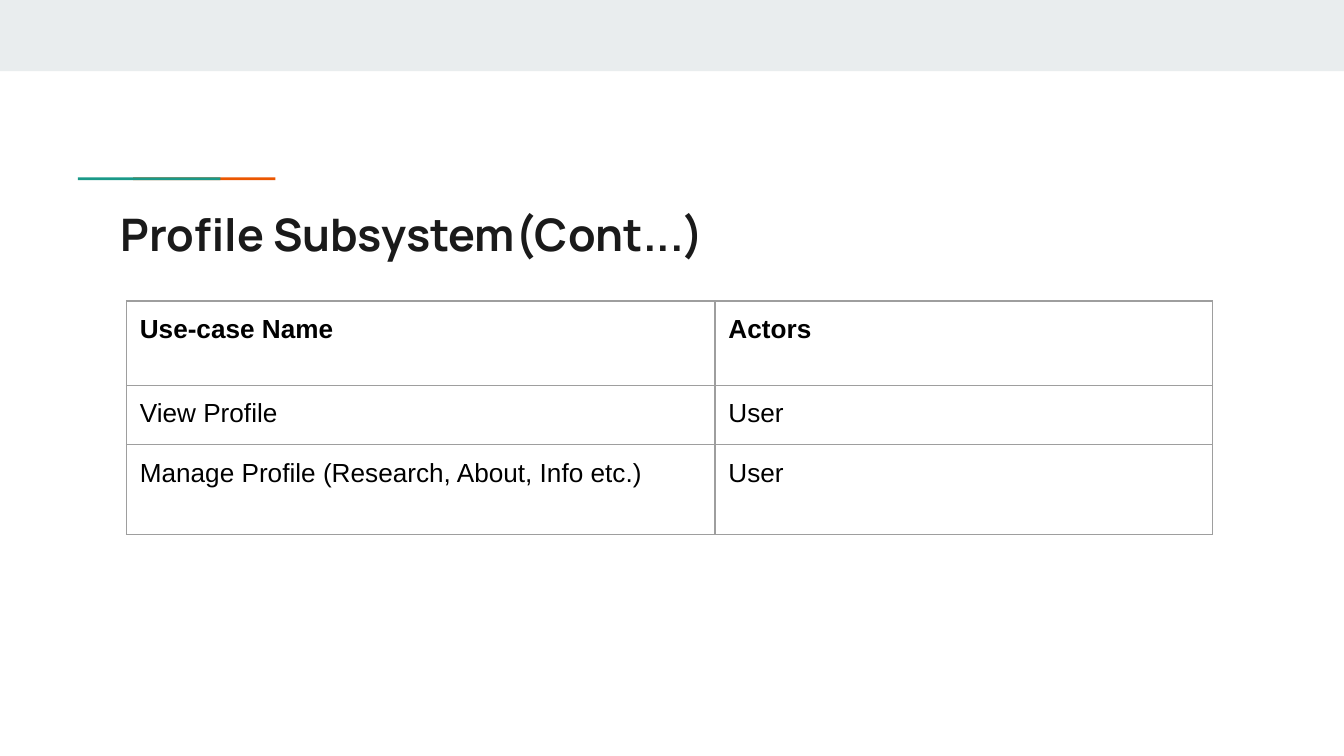
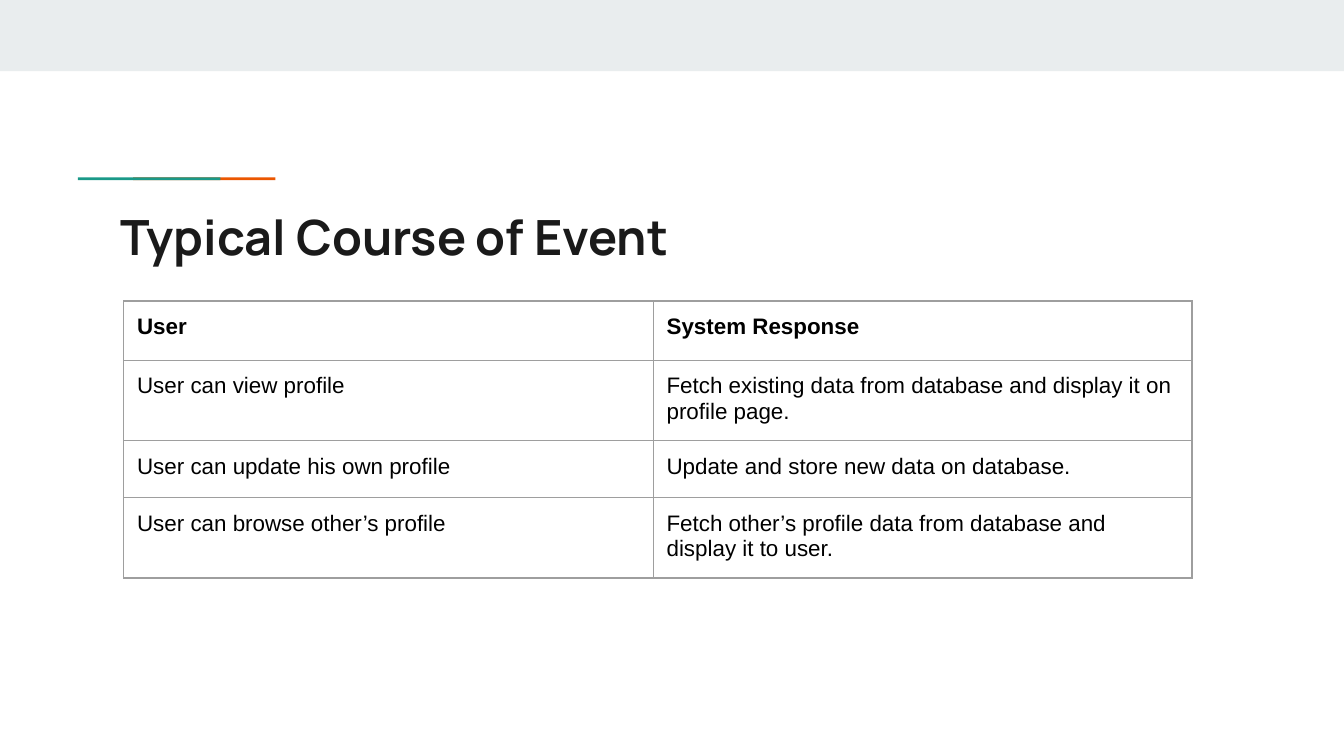
"""Build two slides, each with a title and a bordered two-column table."""
from dataclasses import dataclass

import lxml.etree
import pptx
import pptx.dml.color
import pptx.enum.shapes
import pptx.enum.text
import pptx.oxml.ns
import pptx.util

Inches = pptx.util.Inches
BAND, ORANGE, GREEN = "E9EDEE", "EB5600", "1A9988"
TITLE_INK, TABLE_INK, BORDER = "1A1A1A", "000000", "9E9E9E"
TITLE_FONT, TABLE_FONT = "Manrope", "Arial"
MARGINS = {f"margin_{side}": Inches(0.1) for side in ("left", "top", "right", "bottom")}


@dataclass(frozen=True)
class Bar:
    left: float
    top: float
    width: float
    height: float
    color: str


@dataclass(frozen=True)
class TableSlide:
    title: str
    title_size: int
    left: float
    text_size: int
    cols: tuple[float, ...]
    rows: tuple[float, ...]
    cells: tuple[tuple[str, ...], ...]


BARS = (
    Bar(0, 0, 10, 0.53, BAND),
    Bar(0.99, 1.32, 1.06, 0.02, ORANGE),
    Bar(0.58, 1.32, 1.06, 0.02, GREEN),
)
SLIDES = (
    TableSlide(
        "Profile Subsystem(Cont...)", 24, 0.94, 14, (4.38, 3.7), (0.63, 0.44, 0.67),
        (
            ("Use-case Name", "Actors"),
            ("View Profile", "User"),
            ("Manage Profile (Research, About, Info etc.)", "User"),
        ),
    ),
    TableSlide(
        "Typical Course of Event", 26, 0.92, 12, (3.94, 4.01), (0.44, 0.56, 0.42, 0.56),
        (
            ("User", "System Response"),
            ("User can view profile",
             "Fetch existing data from database and display it on profile page."),
            ("User can update his own profile", "Update and store new data on database."),
            ("User can browse other’s profile",
             "Fetch other’s profile data from database and display it to user."),
        ),
    ),
)


def rgb(color: str) -> pptx.dml.color.RGBColor:
    """Return the colour of a hex string."""
    return pptx.dml.color.RGBColor.from_string(color)


def apply(target, values: dict) -> None:
    """Set each named attribute on the target."""
    for name, value in values.items():
        setattr(target, name, value)


def write(tf, text: str, font: str, size: int, color: str, bold: bool) -> None:
    """Write one styled run, with a paragraph end of the same size."""
    p = tf.paragraphs[0]
    r = p.add_run()
    r.text = text
    apply(r.font, {"name": font, "size": pptx.util.Pt(size), "bold": bold})
    r.font.color.rgb = rgb(color)
    lxml.etree.SubElement(p._p, pptx.oxml.ns.qn("a:endParaRPr"), sz=str(size * 100))


def draw_bar(s, bar: Bar) -> None:
    """Draw a flat filled rectangle."""
    box = map(Inches, (bar.left, bar.top, bar.width, bar.height))
    sp = s.shapes.add_shape(pptx.enum.shapes.MSO_SHAPE.RECTANGLE, *box)
    sp.shadow.inherit = False
    sp.fill.solid()
    sp.fill.fore_color.rgb = rgb(bar.color)
    sp.line.fill.background()


def draw_title(s, text: str, size: int) -> None:
    """Draw the slide title."""
    sp = s.shapes.add_textbox(*map(Inches, (0.8, 1.44, 8.41, 0.59)))
    tf = sp.text_frame
    apply(tf, {"word_wrap": True, "vertical_anchor": pptx.enum.text.MSO_ANCHOR.TOP, **MARGINS})
    write(tf, text, TITLE_FONT, size, TITLE_INK, True)


def add_borders(cell) -> None:
    """Put a thin border on all four sides of a cell."""
    qn = pptx.oxml.ns.qn
    props = cell._tc.get_or_add_tcPr()
    for i, side in enumerate(("lnL", "lnR", "lnT", "lnB")):
        ln = lxml.etree.Element(qn(f"a:{side}"), w=str(pptx.util.Pt(0.75)))
        fill = lxml.etree.SubElement(ln, qn("a:solidFill"))
        lxml.etree.SubElement(fill, qn("a:srgbClr"), val=BORDER)
        props.insert(i, ln)


def draw_table(s, content: TableSlide) -> None:
    """Draw the table with a bold header row."""
    box = map(Inches, (content.left, 2.24, sum(content.cols), sum(content.rows)))
    table = s.shapes.add_table(len(content.rows), len(content.cols), *box).table
    apply(table, {"first_row": False, "horz_banding": False})
    for col, width in zip(table.columns, content.cols):
        col.width = Inches(width)
    for i, (row, height) in enumerate(zip(table.rows, content.rows)):
        row.height = Inches(height)
        for cell, text in zip(row.cells, content.cells[i]):
            apply(cell, MARGINS)
            cell.fill.background()
            add_borders(cell)
            write(cell.text_frame, text, TABLE_FONT, content.text_size, TABLE_INK, i == 0)


def main() -> None:
    """Build and save the presentation."""
    prs = pptx.Presentation()
    apply(prs, {"slide_width": Inches(10), "slide_height": Inches(10 * 9 / 16)})
    for content in SLIDES:
        s = prs.slides.add_slide(prs.slide_layouts[6])
        for bar in BARS:
            draw_bar(s, bar)
        draw_title(s, content.title, content.title_size)
        draw_table(s, content)
    prs.save("out.pptx")


if __name__ == "__main__":
    main()
